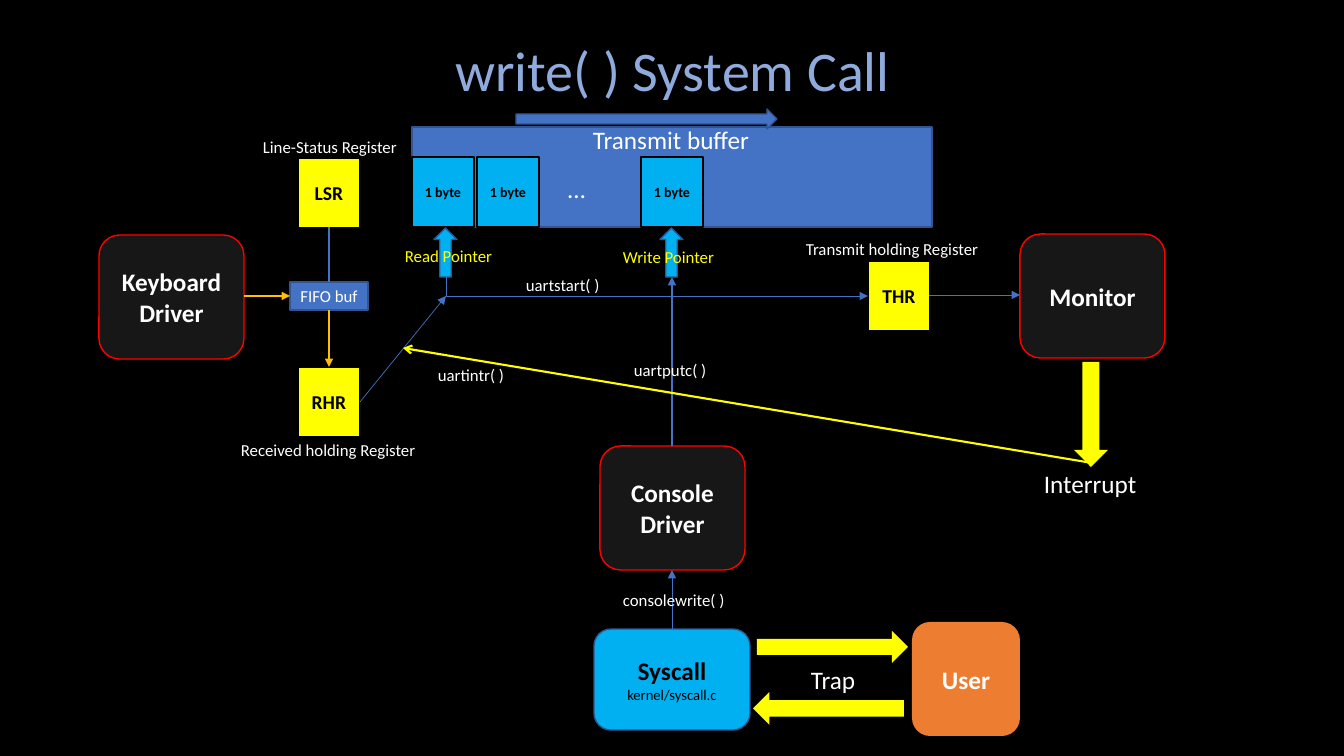
from lxml import etree
from pptx import Presentation
from pptx.dml.color import RGBColor
from pptx.enum.shapes import MSO_CONNECTOR, MSO_SHAPE
from pptx.enum.text import MSO_ANCHOR, MSO_AUTO_SIZE, PP_ALIGN
from pptx.oxml.ns import qn
from pptx.util import Pt

PIXEL = 914400 / 100.8
RECT, ROUND = MSO_SHAPE.RECTANGLE, MSO_SHAPE.ROUNDED_RECTANGLE
RIGHT, LEFT = MSO_SHAPE.RIGHT_ARROW, MSO_SHAPE.LEFT_ARROW
UP, DOWN = MSO_SHAPE.UP_ARROW, MSO_SHAPE.DOWN_ARROW
STRAIGHT, ELBOW = MSO_CONNECTOR.STRAIGHT, MSO_CONNECTOR.ELBOW
CENTER, ALIGN_LEFT = PP_ALIGN.CENTER, PP_ALIGN.LEFT
TOP, MIDDLE, NO_FIT = MSO_ANCHOR.TOP, MSO_ANCHOR.MIDDLE, MSO_AUTO_SIZE.NONE

BLACK = RGBColor(0x00, 0x00, 0x00)
WHITE = RGBColor(0xFF, 0xFF, 0xFF)
CHARCOAL = RGBColor(0x18, 0x17, 0x17)
BLUE = RGBColor(0x44, 0x72, 0xC4)
NAVY = RGBColor(0x32, 0x54, 0x91)
PALE_BLUE = RGBColor(0x8F, 0xAA, 0xDC)
CYAN = RGBColor(0x00, 0xB0, 0xF0)
YELLOW = RGBColor(0xFF, 0xFF, 0x00)
GOLD = RGBColor(0xFF, 0xC0, 0x00)
ORANGE = RGBColor(0xED, 0x7D, 0x31)
RED = RGBColor(0xFF, 0x00, 0x00)


def emu(pixels):
    """Turn pixels into EMU."""
    return round(pixels * PIXEL)


def write(frame, rows, color, align=CENTER, anchor=MIDDLE, wrap=True):
    """Fill a text frame with rows of (text, size, bold)."""
    layout = {"word_wrap": wrap, "vertical_anchor": anchor, "auto_size": NO_FIT}
    for name, value in layout.items():
        setattr(frame, name, value)
    for index, (text, size, bold) in enumerate(rows):
        para = frame.add_paragraph() if index else frame.paragraphs[0]
        para.alignment = align
        span = para.add_run()
        span.text = text
        span.font.color.rgb = color
        style = {"name": "Calibri", "size": Pt(size), "bold": bold}
        for name, value in style.items():
            setattr(span.font, name, value)


class Region:
    """Part of the page whose contents are placed from its top left corner."""

    def __init__(self, page, left, top):
        self.page, self.left, self.top = page, left, top

    def point(self, x, y):
        """Return the page position of a point in the region."""
        return emu(self.left + x), emu(self.top + y)

    def shape(self, kind, box, fill, outline=None, rows=(), color=BLACK):
        """Add a filled preset shape with optional text."""
        x, y, width, height = box
        item = self.page.shapes.add_shape(
            kind, *self.point(x, y), emu(width), emu(height))
        item.shadow.inherit = False
        item.fill.solid()
        item.fill.fore_color.rgb = fill
        if outline is None:
            item.line.fill.background()
        else:
            item.line.color.rgb = outline
            item.line.width = Pt(1)
        write(item.text_frame, rows, color)

    def register(self, x, y, name):
        """Add a yellow device register."""
        self.shape(RECT, (x, y, 62, 70), YELLOW, BLACK, [(name, 14, True)])

    def driver(self, x, y, name):
        """Add a dark rounded device block."""
        self.shape(ROUND, (x, y, 145, 124), CHARCOAL, RED,
                   [(name, 18, True)], WHITE)

    def label(self, x, y, width, text, size=12, color=WHITE):
        """Add a one-line caption."""
        item = self.page.shapes.add_textbox(
            *self.point(x, y), emu(width), emu(30 if size == 12 else 40))
        write(item.text_frame, [(text, size, False)], color,
              ALIGN_LEFT, TOP, False)

    def link(self, start, end, color=BLUE, width=0.5, head="triangle",
             kind=STRAIGHT):
        """Add a connector with an optional arrowhead."""
        item = self.page.shapes.add_connector(
            kind, *self.point(*start), *self.point(*end))
        item.line.color.rgb = color
        item.line.width = Pt(width)
        properties = item.element.spPr
        if head:
            etree.SubElement(properties.find(qn("a:ln")),
                             qn("a:tailEnd"), type=head)
        etree.SubElement(properties, qn("a:effectLst"))
        return item

    def corner(self, start, end):
        """Add a connector that goes down and then right."""
        (x1, y1), (x2, y2) = start, end
        middle_x, middle_y = (x1 + x2) / 2, (y1 + y2) / 2
        run, drop = (x2 - x1) / 2, (y2 - y1) / 2
        item = self.link((middle_x + drop, middle_y - run),
                         (middle_x - drop, middle_y + run), kind=ELBOW)
        properties = item.element.spPr
        properties.find(qn("a:xfrm")).set("rot", str(270 * 60000))
        properties.find(qn("a:prstGeom")).set("prst", "bentConnector2")


def add_title(page, box):
    """Place and write the page title."""
    title = page.shapes.title
    for name, value in zip(("left", "top", "width", "height"), box):
        setattr(title, name, emu(value))
    write(title.text_frame, [("write( ) System Call", 40, False)],
          PALE_BLUE, anchor=TOP)


def add_transmit_buffer(region):
    """Draw the buffer, its bytes and its direction."""
    region.shape(RECT, (0, 18, 520, 100), BLUE, NAVY)
    region.label(171, 10, 178, "Transmit buffer", 18)
    for x in (0, 65, 229):
        region.shape(RECT, (x, 48, 62, 70), CYAN, BLACK, [("1 byte", 10, True)])
    region.label(146, 59, 38, "…", 18)
    region.shape(RIGHT, (104, 0, 261, 20), BLUE, NAVY)


def add_receiver(region):
    """Draw the keyboard, its buffer and the receive registers."""
    region.driver(0, 104, "Keyboard Driver")
    region.register(199, 27, "LSR")
    region.register(199, 236, "RHR")
    region.label(154, 1, 155, "Line-Status Register")
    region.label(132, 304, 197, "Received holding Register")
    region.shape(RECT, (191, 151, 78, 28), BLUE, NAVY,
                 [("FIFO buf", 12, False)], WHITE)
    region.link((230, 96), (230, 151), width=1, head=None)
    region.link((230, 179), (230, 236), GOLD, 1)
    region.link((145, 165), (191, 165), GOLD, 1)


def add_transmitter(region):
    """Draw the transmit register, the monitor and its interrupt."""
    region.register(72, 27, "THR")
    region.label(0, 0, 195, "Transmit holding Register")
    region.driver(224, 0, "Monitor")
    region.link((133, 61), (224, 61))
    region.shape(DOWN, (278, 128, 34, 105), YELLOW)
    region.label(238, 229, 114, "Interrupt", 18)


def add_system(region):
    """Draw the console driver, the system call and the user."""
    region.driver(6, 0, "Console Driver")
    region.shape(ROUND, (0, 183, 156, 101), CYAN, NAVY,
                 [("Syscall", 18, True), ("kernel/syscall.c", 10.5, False)])
    region.shape(ROUND, (318, 176, 108, 114), ORANGE, None,
                 [("User", 18, True)], WHITE)
    region.shape(RIGHT, (163, 185, 151, 32), YELLOW)
    region.shape(LEFT, (159, 246, 151, 33), YELLOW)
    region.label(207, 213, 66, "Trap", 18)
    region.link((78, 183), (78, 124))
    region.label(19, 139, 123, "consolewrite( )")


def add_calls(region):
    """Draw the buffer pointers and the driver calls."""
    region.link((312, 218), (312, 49), width=1)
    for x, label_x, label_y, name in ((74, 35, 13, "Read Pointer"),
                                      (300, 253, 14, "Write Pointer")):
        region.shape(UP, (x, 0, 23, 49), CYAN, NAVY)
        region.label(label_x, label_y, 111, name, color=YELLOW)
    region.corner((86, 49), (508, 68))
    region.link((0, 174), (86, 68))
    region.link((732, 235), (43, 120), YELLOW, 1.5, "arrow")
    region.label(264, 127, 95, "uartputc( )")
    region.label(156, 42, 97, "uartstart( )")
    region.label(68, 132, 87, "uartintr( )")


def build():
    """Build and save the deck."""
    deck = Presentation()
    deck.slide_width, deck.slide_height = emu(1344), emu(756)
    page = deck.slides.add_slide(deck.slide_layouts[5])
    page.background.fill.solid()
    page.background.fill.fore_color.rgb = BLACK
    add_title(page, (207, 30, 931, 78))
    add_transmit_buffer(Region(page, 412, 109))
    add_receiver(Region(page, 99, 131))
    add_transmitter(Region(page, 796, 234))
    add_system(Region(page, 594, 446))
    add_calls(Region(page, 360, 228))
    deck.save("out.pptx")


build()
